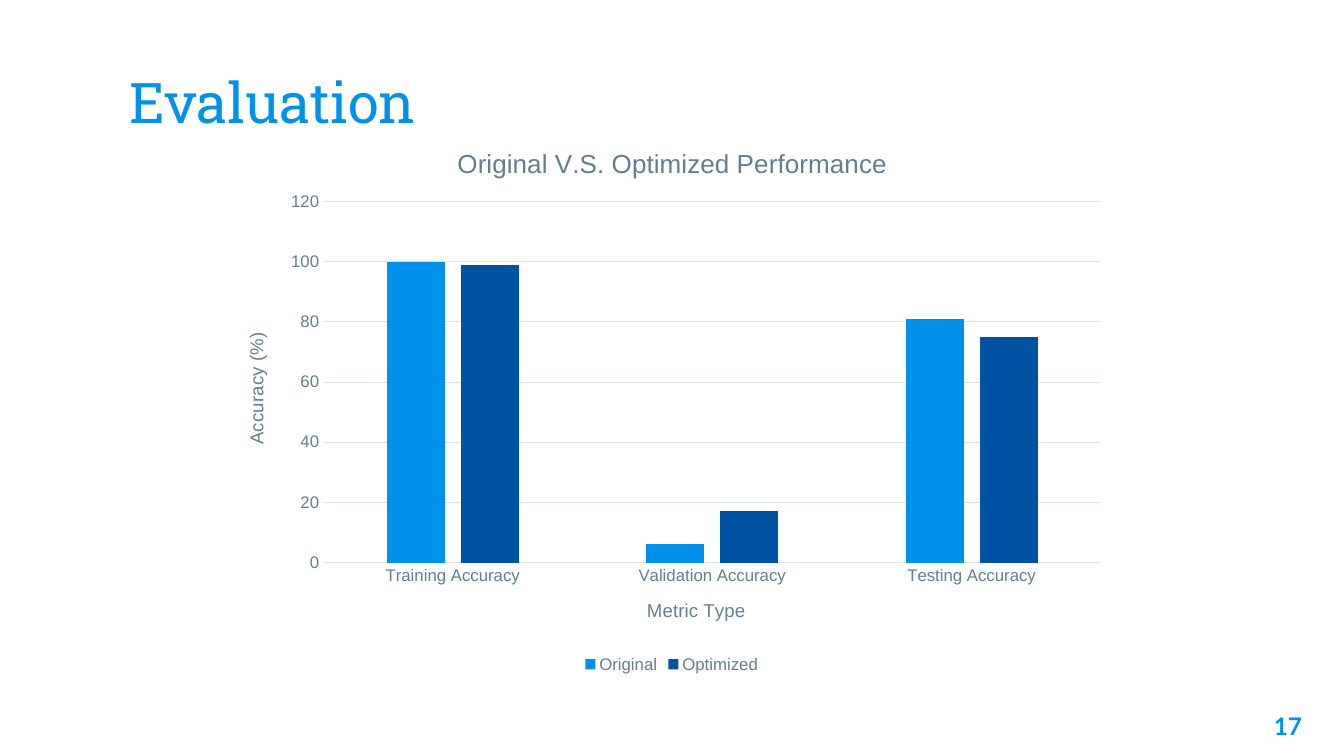
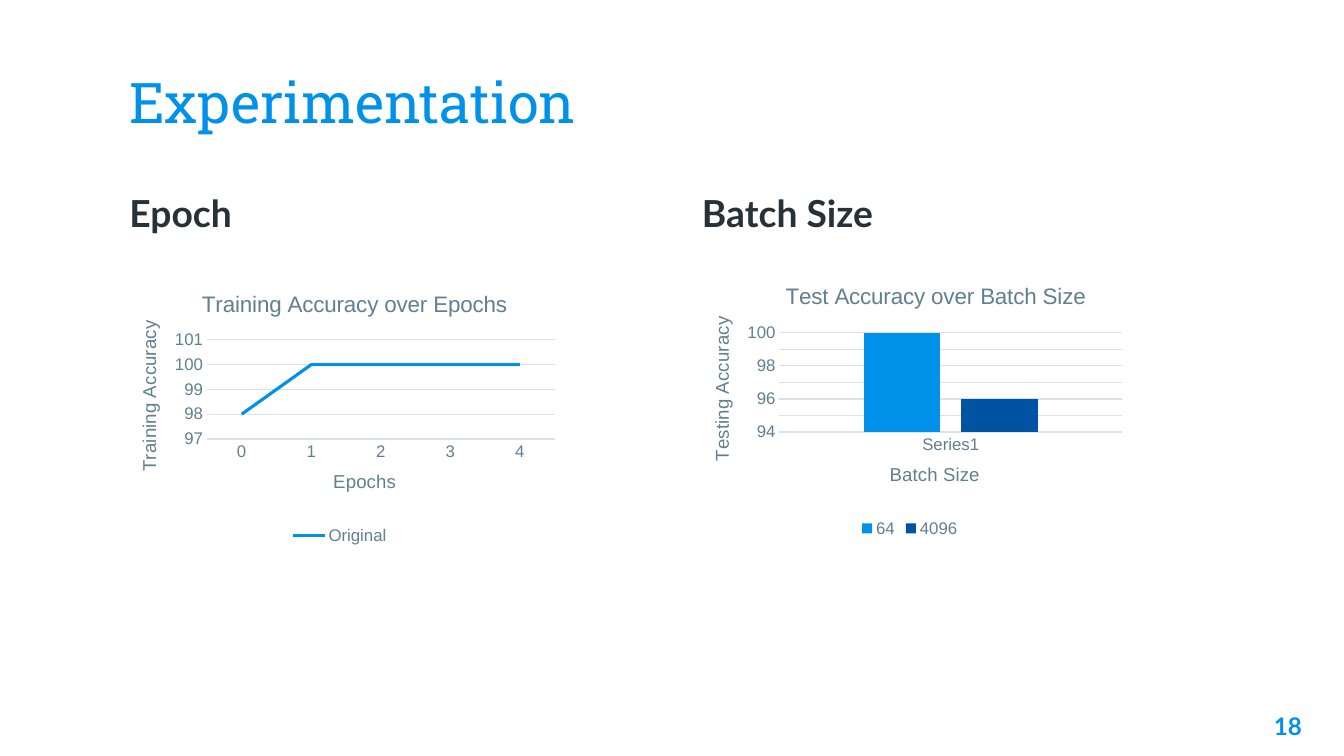
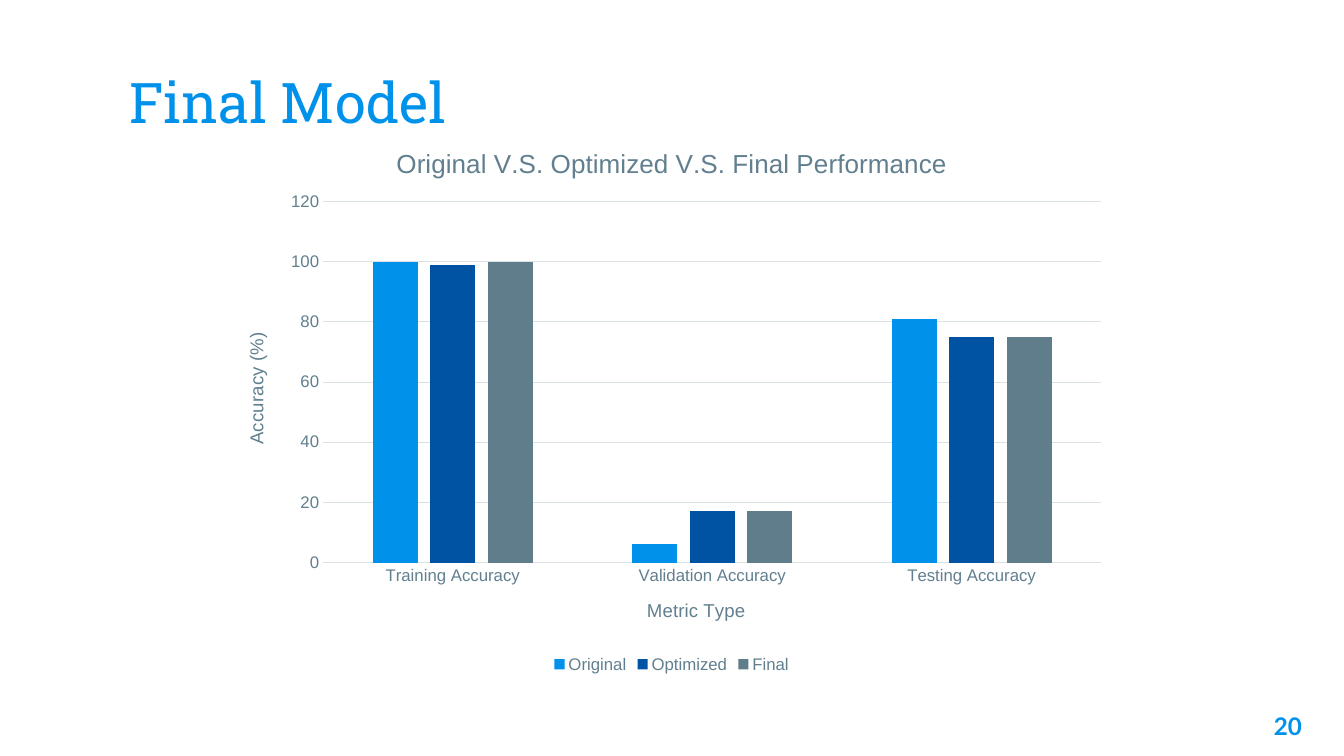
import pptx
import pptx.chart.data
import pptx.dml.color
import pptx.enum.chart
import pptx.enum.text
import pptx.oxml
import pptx.oxml.ns
import pptx.util
import lxml.etree

Pt = pptx.util.Pt
RGBColor = pptx.dml.color.RGBColor
qn = pptx.oxml.ns.qn
XL = pptx.enum.chart.XL_CHART_TYPE
ALIGN = pptx.enum.text.PP_ALIGN
ANCHOR = pptx.enum.text.MSO_ANCHOR

BLUE = RGBColor(0x00, 0x91, 0xEA)
NAVY = RGBColor(0x00, 0x53, 0xA3)
SLATE = RGBColor(0x60, 0x7D, 0x8B)
LABEL = RGBColor(0x61, 0x7F, 0x8F)
GRID = RGBColor(0xDA, 0xE2, 0xE6)
INK = RGBColor(0x26, 0x32, 0x38)
SERIES_COLORS = (BLUE, NAVY, SLATE)

TITLE_ONLY, TWO_CONTENT = 5, 3
INSET = 9.6
LEFT = 82.8
RIGHT_COLUMN = 491.8
WIDE_CHART = (159.8, 90, 640, 393.8)
WIDE_PLOT = (71, 54, 556, 257.9)
METRICS = ("Training Accuracy", "Validation Accuracy", "Testing Accuracy")
ORIGINAL = ("Original", (100, 6, 81))
OPTIMIZED = ("Optimized", (99, 17, 75))
FINAL = ("Final", (100, 17, 75))


class Deck:
    def __init__(self):
        self.prs = pptx.Presentation()
        self.prs.slide_width = Pt(960)
        self.prs.slide_height = Pt(540)
        self.s = None

    def slide(self, title, number, layout=TITLE_ONLY):
        self.s = self.prs.slides.add_slide(self.prs.slide_layouts[layout])
        self.text(self.s.shapes.title, (LEFT, 32.4, 794.9, 73.4), title,
                  "Roboto Slab", 40, BLUE, anchor=ANCHOR.BOTTOM)
        box = (882, 498.5, 57.6, 41)
        sp = self.s.shapes.add_textbox(*map(Pt, box))
        self.text(sp, box, str(number), "Lato", 17.3, BLUE, True, ALIGN.RIGHT)

    def text(self, sp, box, text, font, size, color, bold=False,
             align=ALIGN.LEFT, anchor=ANCHOR.TOP):
        sp.left, sp.top, sp.width, sp.height = map(Pt, box)
        tf = sp.text_frame
        tf.word_wrap = True
        tf.auto_size = pptx.enum.text.MSO_AUTO_SIZE.NONE
        tf.vertical_anchor = anchor
        tf.margin_left = tf.margin_right = Pt(INSET)
        tf.margin_top = tf.margin_bottom = Pt(INSET)
        p = tf.paragraphs[0]
        p.alignment = align
        p.space_before = Pt(0)
        self.run(p, text, size, color, font, bold)
        return p

    def run(self, p, text, size, color, font="Arial", bold=False):
        r = p.add_run()
        r.text = text
        self.font(r.font, size, color, font, bold)

    def font(self, font, size, color, name="Arial", bold=False):
        font.name = name
        font.size = Pt(size)
        font.bold = bold
        font.color.rgb = color

    def heading(self, index, left, text):
        p = self.text(self.s.placeholders[index], (left, 126, 385.9, 144),
                      text, "Lato", 26.6, INK, True)
        props = p._p.get_or_add_pPr()
        props.set("marL", "0")
        props.set("indent", "0")
        lxml.etree.SubElement(props, qn("a:buNone"))

    def chart(self, kind, box, title, cats, series, axis_titles, scale,
              title_at, title_size=16, plot_box=None):
        data = pptx.chart.data.CategoryChartData()
        data.categories = cats
        for name, values in series:
            data.add_series(name, values)
        chart = self.s.shapes.add_chart(kind, *map(Pt, box), data).chart
        self.font(chart.font, 10, INK)
        chart.has_title = True
        self.run(chart.chart_title.text_frame.paragraphs[0], title,
                 title_size, LABEL)
        size = box[2:]
        self.place(self.layout(chart.chart_title.element), title_at, size)
        chart.has_legend = True
        chart.legend.position = pptx.enum.chart.XL_LEGEND_POSITION.BOTTOM
        chart.legend.include_in_layout = False
        self.font(chart.legend.font, 12, LABEL)
        self.axes(chart, axis_titles, scale)
        self.series(chart, kind)
        if plot_box:
            area = chart.element.find(".//" + qn("c:plotArea"))
            self.place(self.layout(area), plot_box, size)

    def layout(self, parent):
        layout = parent.find(qn("c:layout"))
        if layout is None:
            layout = pptx.oxml.parse_xml(
                '<c:layout xmlns:c="%s"/>' % pptx.oxml.ns.nsuri("c"))
            tx = parent.find(qn("c:tx"))
            if tx is None:
                parent.insert(0, layout)
            else:
                tx.addnext(layout)
        return layout

    def place(self, layout, at, size):
        for child in list(layout):
            layout.remove(child)
        manual = lxml.etree.SubElement(layout, qn("c:manualLayout"))
        settings = [("xMode", "edge"), ("yMode", "edge")]
        if len(at) == 4:
            settings.insert(0, ("layoutTarget", "inner"))
        settings += [(tag, length / whole) for tag, length, whole
                     in zip("xywh", at, size + size)]
        for tag, value in settings:
            lxml.etree.SubElement(manual, qn("c:" + tag)).set("val", str(value))

    def axes(self, chart, titles, scale):
        none = pptx.enum.chart.XL_TICK_MARK.NONE
        cat, val = chart.category_axis, chart.value_axis
        for axis, title in zip((cat, val), titles):
            axis.major_tick_mark = axis.minor_tick_mark = none
            self.font(axis.tick_labels.font, 12, LABEL)
            self.run(axis.axis_title.text_frame.paragraphs[0], title,
                     13.3, LABEL)
        body = val.axis_title.element.find(".//" + qn("a:bodyPr"))
        body.set("rot", "-5400000")
        body.set("vert", "horz")
        cat.has_major_gridlines = False
        val.has_major_gridlines = True
        for line in (cat.format.line, val.major_gridlines.format.line):
            line.color.rgb = GRID
            line.width = Pt(0.75)
        val.format.line.fill.background()
        val.minimum_scale, val.maximum_scale, val.major_unit = scale

    def series(self, chart, kind):
        plot = chart.plots[0]
        plot.vary_by_categories = False
        if kind == XL.COLUMN_CLUSTERED:
            plot.gap_width = 219
            plot.overlap = -27
        for ser, color in zip(plot.series, SERIES_COLORS):
            if kind == XL.LINE:
                ser.smooth = False
                ser.marker.style = pptx.enum.chart.XL_MARKER_STYLE.NONE
                ser.format.line.color.rgb = color
                ser.format.line.width = Pt(2.25)
            else:
                ser.format.fill.solid()
                ser.format.fill.fore_color.rgb = color

    def performance(self, title, title_left, *series):
        self.chart(XL.COLUMN_CLUSTERED, WIDE_CHART, title, METRICS, series,
                   ("Metric Type", "Accuracy (%)"), (0, 120, 20),
                   (title_left, 11), 18.6, WIDE_PLOT)


def main():
    deck = Deck()

    deck.slide("Evaluation", 17)
    deck.performance("Original V.S. Optimized Performance", 163.6,
                     ORIGINAL, OPTIMIZED)

    deck.slide("Experimentation", 18, TWO_CONTENT)
    deck.heading(1, LEFT, "Epoch")
    deck.heading(2, RIGHT_COLUMN, "Batch Size")
    deck.chart(XL.LINE, (LEFT, 198, 319.7, 193.7),
               "Training Accuracy over Epochs", ("0", "1", "2", "3", "4"),
               [("Original", (98, 100, 100, 100, 100))],
               ("Epochs", "Training Accuracy"), (97, 101, 1), (58.6, 6.1))
    deck.chart(XL.COLUMN_CLUSTERED, (RIGHT_COLUMN, 193, 316, 193.7),
               "Test Accuracy over Batch Size", ("Series1",),
               [("64", (100,)), ("4096", (96,))],
               ("Batch Size", "Testing Accuracy"), (94, 100, 1), (66.4, 5.6))

    deck.slide("Final Model", 20)
    deck.performance("Original V.S. Optimized V.S. Final Performance", 120,
                     ORIGINAL, OPTIMIZED, FINAL)

    deck.prs.save("out.pptx")


if __name__ == "__main__":
    main()
